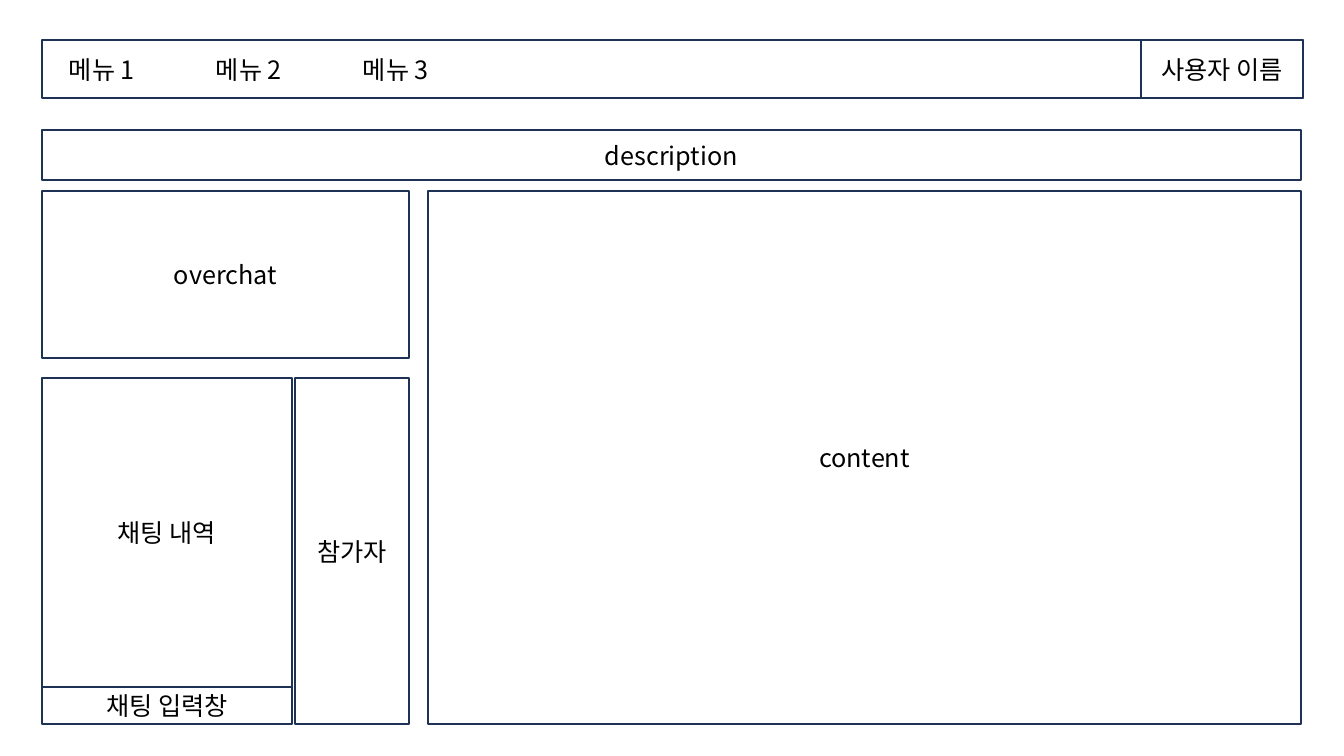
import pptx
import pptx.dml.color
import pptx.enum.shapes
import pptx.enum.text
import pptx.oxml.ns
import pptx.util
from lxml import etree

NAVY = pptx.dml.color.RGBColor(0x1E, 0x32, 0x56)
BLACK = pptx.dml.color.RGBColor(0, 0, 0)
FONT = "Noto Sans CJK KR"
EMU_PER_PIXEL = 914400 / 100.8

# Page edges and the lines the panels share, in pixels
LEFT, RIGHT, BOTTOM = 42, 1301, 724
HEADER_TOP, HEADER_HEIGHT, HEADER_RIGHT = 40, 58, 1303
USER_LEFT = 1141
BODY_TOP, CHAT_TOP, INPUT_TOP = 191, 378, 687
CHAT_RIGHT, PEOPLE_LEFT, SIDE_RIGHT, CONTENT_LEFT = 292, 295, 409, 428
HEADER_BOTTOM = HEADER_TOP + HEADER_HEIGHT

MENUS = ["메뉴 1", "메뉴 2", "메뉴 3"]
MENU_LEFT, MENU_TOP, MENU_STEP, MENU_WIDTH, MENU_HEIGHT = 59, 49, 147, 113, 40

# Label, left, top, right, bottom
PANELS = [
    ("", LEFT, HEADER_TOP, HEADER_RIGHT, HEADER_BOTTOM),
    ("사용자 이름", USER_LEFT, HEADER_TOP, HEADER_RIGHT, HEADER_BOTTOM),
    ("채팅 내역", LEFT, CHAT_TOP, CHAT_RIGHT, INPUT_TOP),
    ("참가자", PEOPLE_LEFT, CHAT_TOP, SIDE_RIGHT, BOTTOM),
    ("채팅 입력창", LEFT, INPUT_TOP, CHAT_RIGHT, BOTTOM),
    ("description", LEFT, 130, RIGHT, 180),
    ("overchat", LEFT, BODY_TOP, SIDE_RIGHT, 358),
    ("content", CONTENT_LEFT, BODY_TOP, RIGHT, BOTTOM),
]

LABEL_FORMAT = {"name": FONT, "size": pptx.util.Pt(18)}


def px(*lengths):
    """Turn pixel lengths into EMU."""
    return [pptx.util.Emu(round(length * EMU_PER_PIXEL)) for length in lengths]


def write_label(frame, label, alignment):
    """Write one formatted line, with the font set for Korean as well."""
    paragraph = frame.paragraphs[0]
    paragraph.alignment = alignment
    run = paragraph.add_run()
    run.text = label
    for attribute, value in LABEL_FORMAT.items():
        setattr(run.font, attribute, value)
    run.font.color.rgb = BLACK
    korean = etree.SubElement(run.font._element, pptx.oxml.ns.qn("a:ea"))
    korean.set("typeface", FONT)


def add_panel(slide, label, left, top, right, bottom):
    """Add an outlined box with a centred label."""
    panel = slide.shapes.add_shape(
        pptx.enum.shapes.MSO_SHAPE.RECTANGLE,
        *px(left, top, right - left, bottom - top))
    panel.shadow.inherit = False
    panel.fill.background()
    panel.line.color.rgb = NAVY
    panel.line.width = pptx.util.Pt(1)
    if label:
        panel.text_frame.vertical_anchor = pptx.enum.text.MSO_ANCHOR.MIDDLE
        write_label(panel.text_frame, label, pptx.enum.text.PP_ALIGN.CENTER)


def add_menu(slide, position, label):
    """Add a menu entry at its step along the header."""
    menu = slide.shapes.add_textbox(
        *px(MENU_LEFT + position * MENU_STEP, MENU_TOP, MENU_WIDTH, MENU_HEIGHT))
    menu.text_frame.word_wrap = True
    menu.text_frame.auto_size = pptx.enum.text.MSO_AUTO_SIZE.SHAPE_TO_FIT_TEXT
    write_label(menu.text_frame, label, pptx.enum.text.PP_ALIGN.LEFT)


deck = pptx.Presentation()
deck.slide_width, deck.slide_height = px(1344, 756)
wireframe = deck.slides.add_slide(deck.slide_layouts[6])
for panel_row in PANELS:
    add_panel(wireframe, *panel_row)
for menu_position, menu_label in enumerate(MENUS):
    add_menu(wireframe, menu_position, menu_label)
deck.save("out.pptx")
